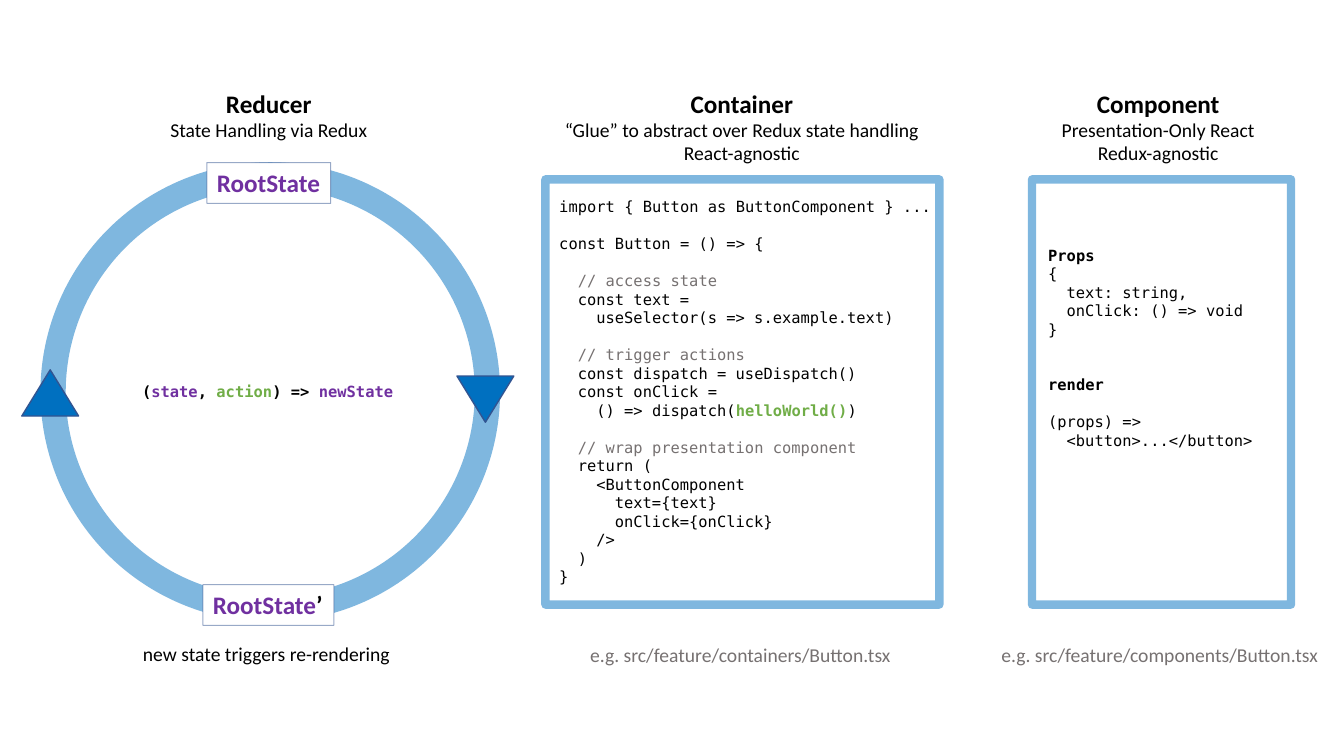
from dataclasses import dataclass

from lxml import etree
from pptx import Presentation
from pptx.dml.color import RGBColor
from pptx.enum.shapes import MSO_SHAPE
from pptx.enum.text import MSO_ANCHOR, PP_ALIGN
from pptx.oxml.ns import qn
from pptx.util import Pt

RECT, DONUT, TRIANGLE = MSO_SHAPE.RECTANGLE, MSO_SHAPE.DONUT, MSO_SHAPE.ISOSCELES_TRIANGLE
LEFT, CENTER = PP_ALIGN.LEFT, PP_ALIGN.CENTER
TOP = MSO_ANCHOR.TOP

BLACK = RGBColor(0x00, 0x00, 0x00)
WHITE = RGBColor(0xFF, 0xFF, 0xFF)
GRAY = RGBColor(0x76, 0x71, 0x71)
BLUE = RGBColor(0x00, 0x70, 0xC0)
NAVY = RGBColor(0x32, 0x54, 0x91)
PURPLE = RGBColor(0x70, 0x30, 0xA0)
GREEN = RGBColor(0x70, 0xAD, 0x47)

SANS, MONO = "Calibri", "DejaVu Sans Mono"
TITLE_SIZE, BODY_SIZE, CODE_SIZE = 18, 14, 11
CODE_INDENT = 13.24  # two monospaced characters
CODE_LINE = 13.18    # height of one line of code


@dataclass
class Run:
    text: str
    color: RGBColor = BLACK
    bold: bool = False


@dataclass
class Line:
    runs: list[Run]
    indent: int = 0  # indent steps
    gap: int = 0     # free lines above


@dataclass
class Box:
    x: float
    y: float
    w: float
    h: float


def code(text: str, indent: int = 0, gap: int = 0, bold: bool = False) -> Line:
    color = GRAY if text.startswith("//") else BLACK
    return Line([Run(text, color, bold)], indent, gap)


def write(shape, lines: list[Line], size: float, font: str = SANS, align=LEFT) -> None:
    tf = shape.text_frame
    tf.word_wrap = False
    tf.vertical_anchor = TOP
    for i, line in enumerate(lines):
        p = tf.paragraphs[0] if i == 0 else tf.add_paragraph()
        p.alignment = align
        if line.gap:
            p.space_before = Pt(line.gap * CODE_LINE)
        if line.indent:
            p._p.get_or_add_pPr().set("marL", str(Pt(line.indent * CODE_INDENT)))
        for run in line.runs:
            r = p.add_run()
            r.text = run.text
            r.font.name, r.font.size = font, Pt(size)
            r.font.bold, r.font.color.rgb = run.bold, run.color


def add_text(s, box: Box, lines: list[Line], size: float, font: str = SANS, align=LEFT) -> None:
    tb = s.shapes.add_textbox(Pt(box.x), Pt(box.y), Pt(box.w), Pt(box.h))
    write(tb, lines, size, font, align)


def halve_opacity(color_format_parent) -> None:
    for clr in color_format_parent.iter(qn("a:srgbClr")):
        etree.SubElement(clr, qn("a:alpha")).set("val", "50000")


def add_shape(s, kind, box: Box, fill: RGBColor | None = None,
              line: RGBColor | None = None, width: float = 1):
    sp = s.shapes.add_shape(kind, Pt(box.x), Pt(box.y), Pt(box.w), Pt(box.h))
    sp.shadow.inherit = False
    if fill is None:
        sp.fill.background()
    else:
        sp.fill.solid()
        sp.fill.fore_color.rgb = fill
    if line is None:
        sp.line.fill.background()
    else:
        sp.line.color.rgb = line
        sp.line.width = Pt(width)
    return sp


@dataclass
class Column:
    center: float
    title: str
    subtitles: list[str]
    footer: str
    footer_color: RGBColor
    footer_box: Box
    subtitle_width: float


COLUMNS = [
    Column(192, "Reducer", ["State Handling via Redux"],
           "new state triggers re-rendering", BLACK, Box(95, 455.3, 193, 24.2), 157),
    Column(529.9, "Container", ["“Glue” to abstract over Redux state handling", "React-agnostic"],
           "e.g. src/feature/containers/Button.tsx", GRAY, Box(414.5, 455.8, 232, 24.2), 270),
    Column(827.3, "Component", ["Presentation-Only React", "Redux-agnostic"],
           "e.g. src/feature/components/Button.tsx", GRAY, Box(708.3, 455.8, 243.5, 24.2), 154),
]

CONTAINER_CODE = [
    code("import { Button as ButtonComponent } ..."),
    code("const Button = () => {", gap=1),
    code("// access state", 1, gap=1),
    code("const text =", 1),
    code("useSelector(s => s.example.text)", 2),
    code("// trigger actions", 1, gap=1),
    code("const dispatch = useDispatch()", 1),
    code("const onClick =", 1),
    Line([Run("() => dispatch("), Run("helloWorld()", GREEN, True), Run(")")], 2),
    code("// wrap presentation component", 1, gap=1),
    code("return (", 1),
    code("<ButtonComponent", 2),
    code("text={text}", 3),
    code("onClick={onClick}", 3),
    code("/>", 2),
    code(")", 1),
    code("}"),
]

COMPONENT_CODE = [
    code("Props", bold=True),
    code("{"),
    code("text: string,", 1),
    code("onClick: () => void", 1),
    code("}"),
    code("render", gap=2, bold=True),
    code("(props) =>", gap=1),
    code("<button>...</button>", 1),
]

REDUCER_CODE = [Line([
    Run("(", bold=True), Run("state", PURPLE, True), Run(", ", bold=True),
    Run("action", GREEN, True), Run(") => ", bold=True), Run("newState", PURPLE, True),
])]

STATE_LABELS = [
    (Box(147.8, 116.1, 88.5, 29.1), [Run("RootState", PURPLE, True)]),
    (Box(145, 417.6, 93.5, 29.1), [Run("RootState", PURPLE, True), Run("’", BLACK, True)]),
]


def main() -> None:
    prs = Presentation()
    prs.slide_width, prs.slide_height = Pt(960), Pt(540)
    s = prs.slides.add_slide(prs.slide_layouts[6])

    # Frames around the code
    for x, width in ((389.6, 281.4), (737.2, 185)):
        frame = add_shape(s, RECT, Box(x, 128.1, width, 303.8), line=BLUE, width=6)
        halve_opacity(frame.line._ln)

    # State cycle
    ring = add_shape(s, DONUT, Box(28.9, 115.9, 328.3, 328.3), fill=BLUE)
    ring.adjustments[0] = 0.055
    halve_opacity(ring._element.spPr)
    for box, runs in STATE_LABELS:
        label = add_shape(s, RECT, box, WHITE, NAVY, 0.75)
        halve_opacity(label.line._ln)
        write(label, [Line(runs)], TITLE_SIZE)
    for x, y, rotation in ((326.4, 268.6, 180), (15.6, 264.2, 0)):
        arrow = add_shape(s, TRIANGLE, Box(x, y, 40.6, 33), BLUE, NAVY)
        arrow.rotation = rotation

    # Headings and footers
    for c in COLUMNS:
        add_text(s, Box(c.center - 52, 59.8, 104, 29.1), [Line([Run(c.title, bold=True)])],
                 TITLE_SIZE, align=CENTER)
        add_text(s, Box(c.center - c.subtitle_width / 2, 80.6, c.subtitle_width, 41.2),
                 [Line([Run(text)]) for text in c.subtitles], BODY_SIZE, align=CENTER)
        add_text(s, c.footer_box, [Line([Run(c.footer, c.footer_color)])], BODY_SIZE)

    # Code
    for box, lines in ((Box(94.4, 269.3, 195, 20.6), REDUCER_CODE),
                       (Box(392.4, 137.5, 282, 300), CONTAINER_CODE),
                       (Box(741.6, 172.1, 162, 154), COMPONENT_CODE)):
        add_text(s, box, lines, CODE_SIZE, MONO)

    prs.save("out.pptx")


if __name__ == "__main__":
    main()
